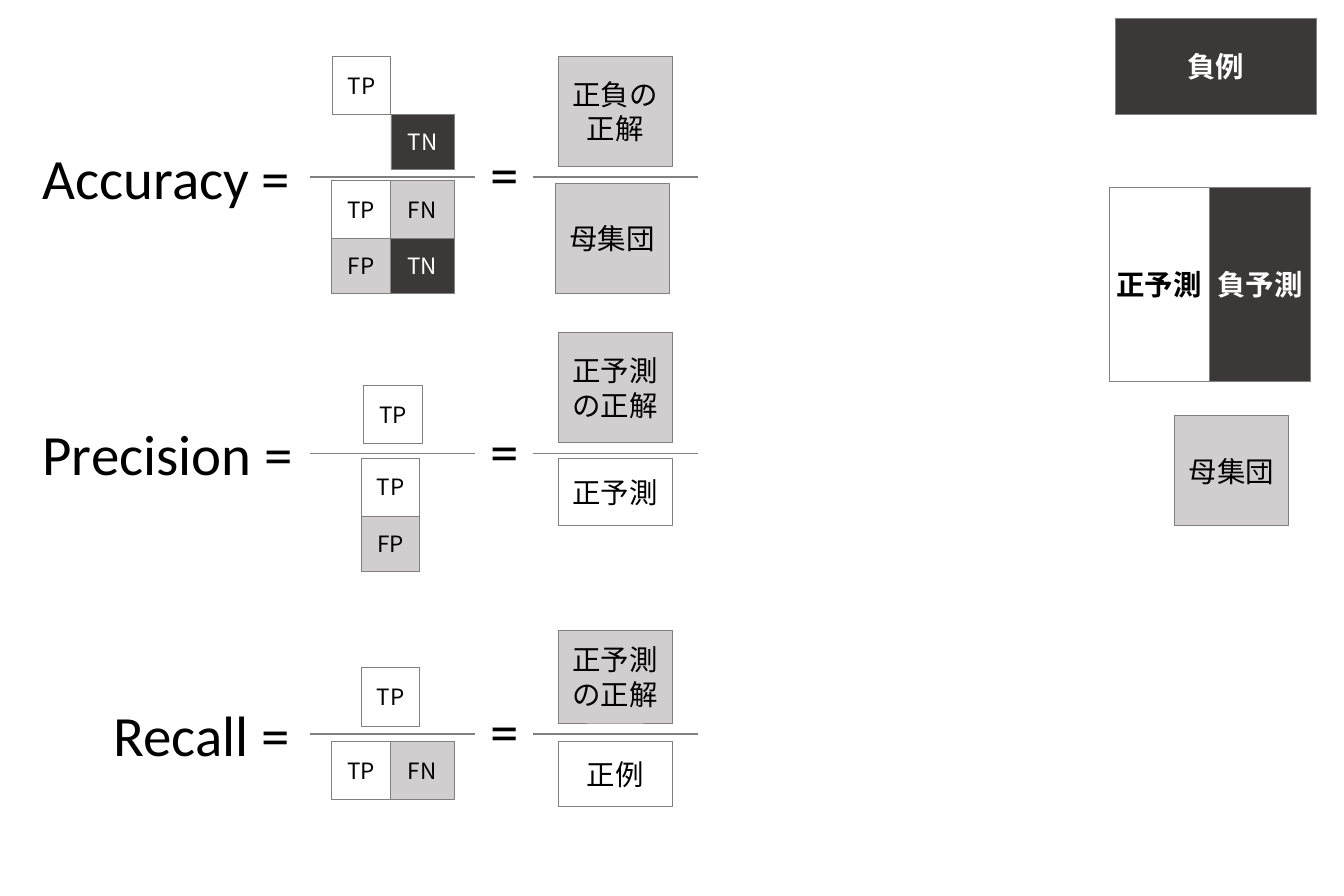
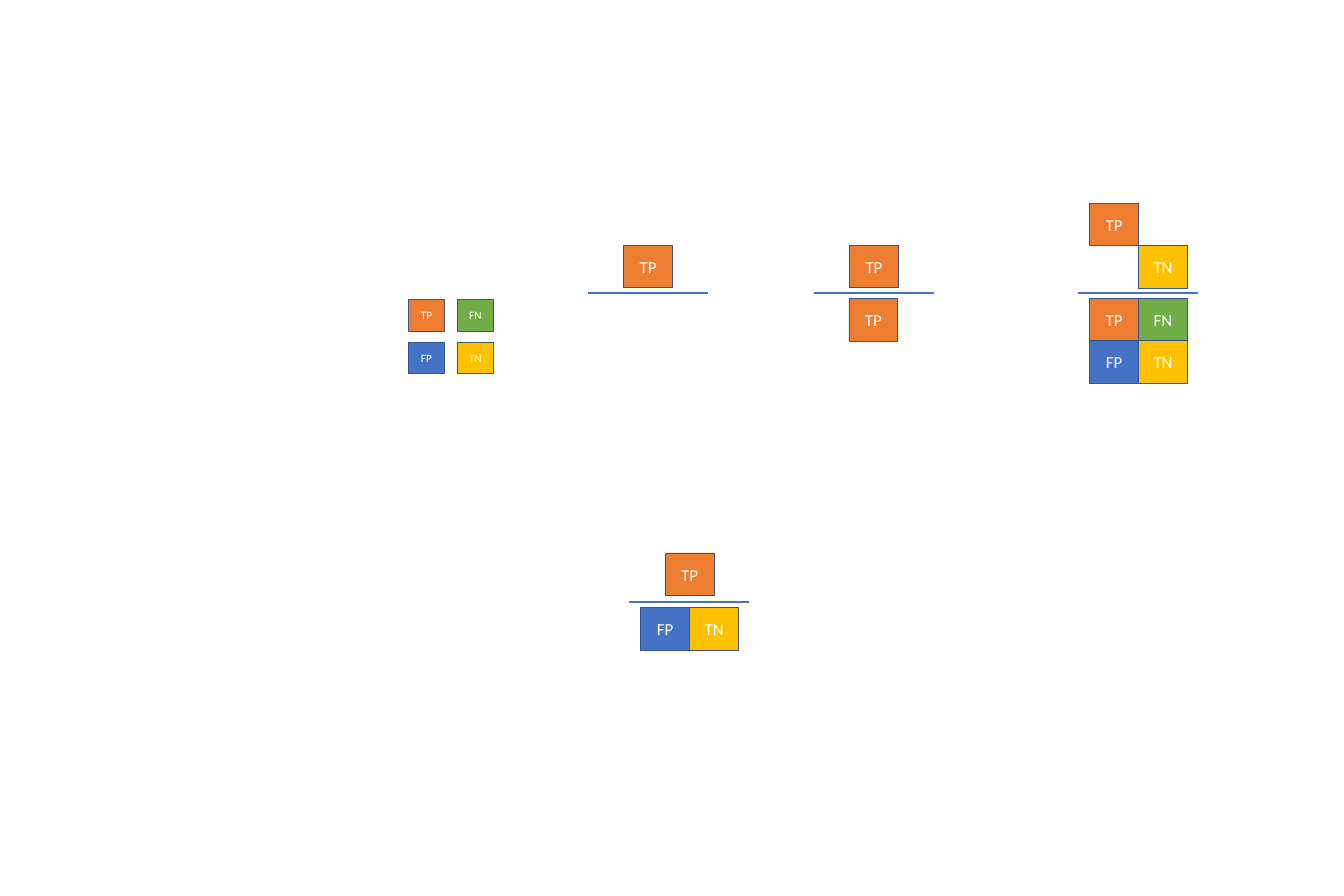
from dataclasses import dataclass

from lxml import etree
from pptx import Presentation
from pptx.dml.color import RGBColor
from pptx.enum.shapes import MSO_CONNECTOR, MSO_SHAPE
from pptx.enum.text import MSO_ANCHOR, PP_ALIGN
from pptx.oxml.ns import qn
from pptx.util import Inches, Pt

RECT = MSO_SHAPE.RECTANGLE
LINE = MSO_CONNECTOR.STRAIGHT
MIDDLE = MSO_ANCHOR.MIDDLE
CENTER = PP_ALIGN.CENTER

HEX = {
    "white": "FFFFFF", "black": "000000", "dark": "3B3838",
    "light": "D0CECE", "gray": "808080", "orange": "ED7D31",
    "green": "70AD47", "blue": "4472C4", "gold": "FFC000", "navy": "325491",
}
# Text colour on each fill; all other fills carry white text
INK = {"white": "black", "light": "black"}
SANS, CJK = "Calibri", "Noto Sans CJK JP"


@dataclass
class Look:
    """Style of the tiles and bars on one slide."""
    fills: dict
    edge: str
    bar: str
    font: str
    size: float
    cols: tuple
    rows: tuple
    gap: tuple = (0, 0)


MONO = Look({"TP": "white", "FN": "light", "FP": "light", "TN": "dark"},
            "gray", "gray", CJK, 28.4, (1.03, 1.12), (1.02, 0.97))
TINTS = {"TP": "orange", "FN": "green", "FP": "blue", "TN": "gold"}
VIVID = Look(TINTS, "navy", "blue", SANS, 21.3, (0.86, 0.86), (0.75, 0.75))
SMALL = Look(TINTS, "navy", "blue", SANS, 14.2, (0.63, 0.63), (0.55, 0.55),
             (0.23, 0.2))


def rgb(name):
    return RGBColor.from_string(HEX[name])


def write(frame, text, font, size, color, bold=False):
    frame.word_wrap = True
    frame.text = text
    run = frame.paragraphs[0].runs[0]
    run.font.name = font
    run.font.size = Pt(size)
    run.font.bold = bold
    run.font.color.rgb = rgb(color)
    asian = etree.SubElement(run.font._element, qn("a:ea"))
    asian.set("typeface", font)


def tile(slide, box, text, fill, edge="gray", font=CJK, size=36, bold=False):
    shape = slide.shapes.add_shape(RECT, *map(Inches, box))
    shape.shadow.inherit = False
    shape.fill.solid()
    shape.fill.fore_color.rgb = rgb(fill)
    shape.line.color.rgb = rgb(edge)
    shape.line.width = Pt(1)
    frame = shape.text_frame
    write(frame, text, font, size, INK.get(fill, "white"), bold)
    frame.vertical_anchor = MIDDLE
    frame.paragraphs[0].alignment = CENTER


def bar(slide, x, y, width, color):
    line = slide.shapes.add_connector(
        LINE, Inches(x), Inches(y), Inches(x + width), Inches(y))
    line.line.color.rgb = rgb(color)
    line.line.width = Pt(2)
    etree.SubElement(line._element.spPr, qn("a:effectLst"))


def label(slide, x, y, width, text):
    box = slide.shapes.add_textbox(*map(Inches, (x, y, width, 1.31)))
    write(box.text_frame, text, SANS, 72, "black")


def grid(slide, x, y, table, look):
    """Place tiles row by row; None leaves a cell empty."""
    for names, height in zip(table, look.rows):
        left = x
        for name, width in zip(names, look.cols):
            if name:
                tile(slide, (left, y, width, height), name, look.fills[name],
                     look.edge, look.font, look.size)
            left += width + look.gap[0]
        y += height + look.gap[1]


def ratio(slide, x, y, width, parts, look):
    """Draw a bar with tile grids at offsets from its left end."""
    bar(slide, x, y, width, look.bar)
    for dx, dy, table in parts:
        grid(slide, x + dx, y + dy, table, look)


def formula(slide, x, y, name, parts, terms):
    """Name = tile ratio = term ratio, centred on the height y."""
    label(slide, x, y - 0.66, 4.89, name + " =")
    ratio(slide, 5.44, y, 2.91, parts, MONO)
    label(slide, 8.53, y - 0.72, 0.83, "=")
    bar(slide, 9.36, y, 2.91, "gray")
    for dx, dy, height, text, fill in terms:
        tile(slide, (9.36 + dx, y + dy, 2, height), text, fill)


def legend(slide, x, y):
    """Loose blocks in the right margin."""
    for dx, dy, width, height, text, fill, bold in (
            (0.11, 0, 3.54, 1.69, "負例", "dark", True),
            (0, 2.97, 1.76, 3.42, "正予測", "white", True),
            (1.76, 2.97, 1.78, 3.42, "負予測", "dark", True),
            (1.15, 6.99, 2, 1.93, "母集団", "light", False)):
        tile(slide, (x + dx, y + dy, width, height), text, fill, bold=bold)


ONE = [["TP"]]
DIAG = [["TP", None], [None, "TN"]]
FULL = [["TP", "FN"], ["FP", "TN"]]

FORMULAS = [
    (0.65, 3.11, "Accuracy",
     [(0.4, -2.12, DIAG), (0.39, 0.06, FULL)],
     [(0.45, -2.12, 1.93, "正負の正解", "light"),
      (0.4, 0.12, 1.93, "母集団", "light")]),
    (0.65, 7.97, "Precision",
     [(0.95, -1.2, ONE), (0.91, 0.08, [["TP"], ["FP"]])],
     [(0.45, -2.12, 1.93, "正予測の正解", "light"),
      (0.45, 0.08, 1.19, "正予測", "white")]),
    (1.9, 12.9, "Recall",
     [(0.91, -1.16, ONE), (0.39, 0.13, [["TP", "FN"]])],
     [(0.45, -1.82, 1.63, "正予測の正解", "light"),
      (0.45, 0.13, 1.14, "正例", "white")]),
]

RATIOS = [
    (10.33, 5.15, [(0.63, -0.84, ONE)]),
    (14.3, 5.15, [(0.63, -0.84, ONE), (0.62, 0.1, ONE)]),
    (18.95, 5.15, [(0.2, -1.58, DIAG), (0.2, 0.09, FULL)]),
    (11.06, 10.58, [(0.63, -0.86, ONE), (0.2, 0.1, [["FP", "TN"]])]),
]

deck = Presentation()
deck.slide_width, deck.slide_height = Inches(23.62), Inches(15.75)
blank = deck.slide_layouts[6]

# Metrics in words and tiles
first = deck.slides.add_slide(blank)
for x, y, name, parts, terms in FORMULAS:
    formula(first, x, y, name, parts, terms)
legend(first, 19.49, 0.32)

# Coloured tile ratios
second = deck.slides.add_slide(blank)
grid(second, 7.18, 5.27, FULL, SMALL)
for x, y, parts in RATIOS:
    ratio(second, x, y, 2.11, parts, VIVID)

deck.save("out.pptx")
